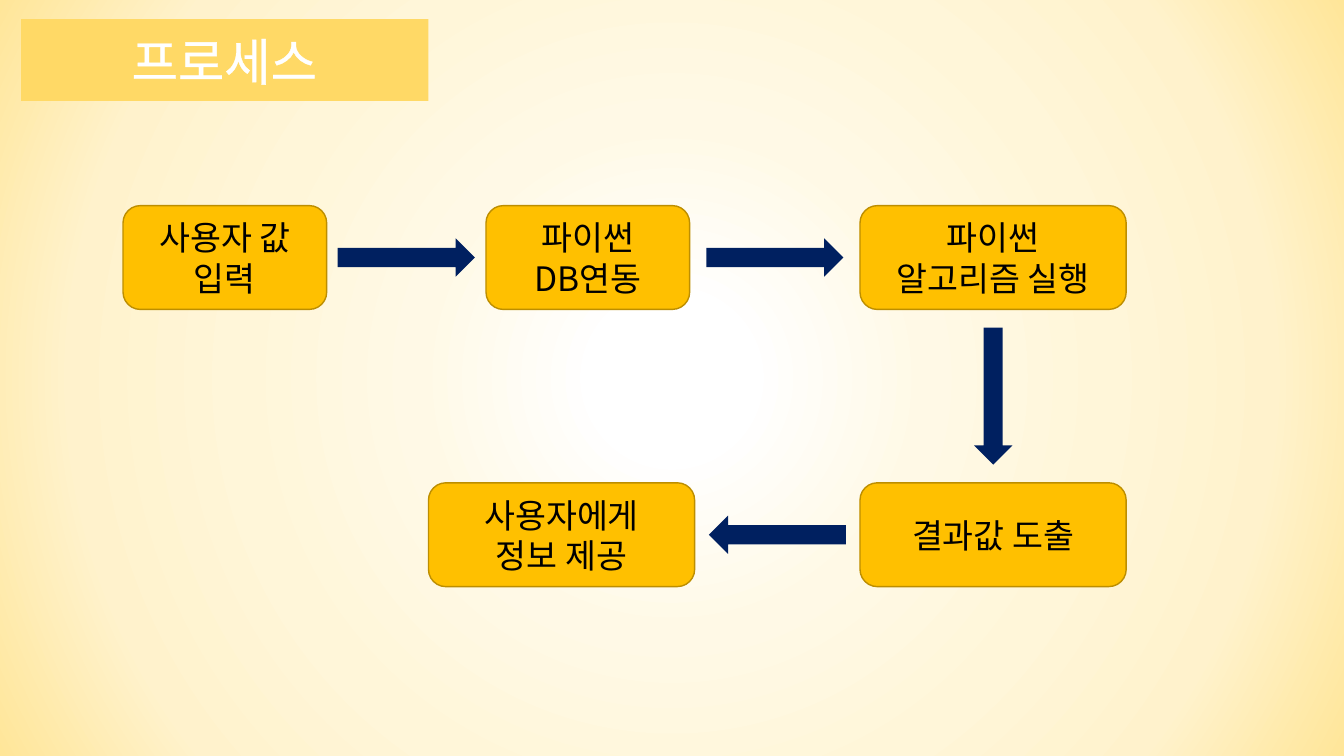
import lxml.etree
import pptx
import pptx.dml.color
import pptx.enum.shapes
import pptx.enum.text
import pptx.oxml
import pptx.oxml.ns
import pptx.util

Inches = pptx.util.Inches
Pt = pptx.util.Pt
qn = pptx.oxml.ns.qn
SHAPES = pptx.enum.shapes.MSO_SHAPE
FONT = "Noto Sans CJK KR"
COLORS = {
    "banner": "FFD966", "title": "FFFFFF", "step": "FFC000",
    "step_edge": "BD8E00", "step_text": "000000", "arrow": "002060",
}
GLOW_STOPS = {10: "FFFFFF", 33: "FFF9E6", 56: "FFF6D9", 78: "FFF2CC", 100: "FFE699"}


def rgb(name):
    """Return the named palette colour."""
    return pptx.dml.color.RGBColor.from_string(COLORS[name])


def paint_background(slide):
    """Fill the slide with a glow that spreads from its centre."""
    slide.background.fill.gradient()
    linear = slide.element.find(".//" + qn("a:gradFill"))
    stops = "".join(
        f'<a:gs pos="{percent * 1000}"><a:srgbClr val="{color}"/></a:gs>'
        for percent, color in GLOW_STOPS.items())
    glow = pptx.oxml.parse_xml(
        f'<a:gradFill {pptx.oxml.ns.nsdecls("a")} rotWithShape="1">'
        f'<a:gsLst>{stops}</a:gsLst><a:path path="circle">'
        '<a:fillToRect l="50000" t="50000" r="50000" b="50000"/>'
        '</a:path></a:gradFill>')
    linear.getparent().replace(linear, glow)


def add_block(slide, preset, box, fill, edge=None):
    """Add a flat preset shape in box (left, top, width, height in inches)."""
    block = slide.shapes.add_shape(preset, *map(Inches, box))
    block.shadow.inherit = False
    block.fill.solid()
    block.fill.fore_color.rgb = rgb(fill)
    if edge:
        block.line.color.rgb = rgb(edge)
        block.line.width = Pt(1)
    else:
        block.line.fill.background()
    return block


def write_text(shape, text, size, color):
    """Write centred text; a vertical tab breaks a line within a paragraph."""
    shape.text_frame.text = text
    for paragraph in shape.text_frame.paragraphs:
        paragraph.alignment = pptx.enum.text.PP_ALIGN.CENTER
        for run in paragraph.runs:
            run.font.size = Pt(size)
            run.font.name = FONT
            run.font.color.rgb = rgb(color)
            east_asian = lxml.etree.SubElement(run.font._element, qn("a:ea"))
            east_asian.set("typeface", FONT)


def add_heading(slide, box, text):
    """Place the banner in box and the outlined title on top of it."""
    left, top, width, height = box
    banner = add_block(slide, SHAPES.RECTANGLE, box, "banner")
    title = slide.shapes.title
    banner._element.addnext(title._element)
    title.left, title.top = Inches(left + 0.21), Inches(top + 0.06)
    title.width, title.height = Inches(width - 0.43), Inches(height - 0.1)
    write_text(title, text, 36, "title")
    frame = title.text_frame
    frame.word_wrap = True
    frame.auto_size = pptx.enum.text.MSO_AUTO_SIZE.SHAPE_TO_FIT_TEXT
    frame.vertical_anchor = pptx.enum.text.MSO_ANCHOR.TOP
    outline = pptx.oxml.parse_xml(
        f'<a:ln {pptx.oxml.ns.nsdecls("a")} w="{Pt(0.75)}"><a:solidFill>'
        f'<a:srgbClr val="{COLORS["title"]}"/></a:solidFill></a:ln>')
    frame.paragraphs[0].runs[0].font._element.insert(0, outline)


def add_step(slide, box, text):
    """Add one rounded process step."""
    step = add_block(slide, SHAPES.ROUNDED_RECTANGLE, box, "step", "step_edge")
    write_text(step, text, 24, "step_text")
    step.text_frame.vertical_anchor = pptx.enum.text.MSO_ANCHOR.MIDDLE


def add_flow_arrow(slide, start, end):
    """Centre an arrow in the gap between two step boxes, pointing at end."""
    length, thickness = 1.36, 0.38
    left, top, width, height = start
    next_left, next_top, next_width, next_height = end
    if next_top > top:
        center_x = left + width / 2
        center_y = (top + height + next_top) / 2
        rotation = 90
    else:
        forward = next_left > left
        gap = (left + width, next_left) if forward else (next_left + next_width, left)
        center_x, center_y = sum(gap) / 2, top + height / 2
        rotation = 0 if forward else 180
    box = (center_x - length / 2, center_y - thickness / 2, length, thickness)
    add_block(slide, SHAPES.RIGHT_ARROW, box, "arrow").rotation = rotation


def add_process(slide, box):
    """Lay out the steps in two rows of box and join them in order."""
    left, top, width, height = box
    narrow, wide, step_height = 2.02, 2.64, 1.03
    right = left + width - wide
    bottom = top + height - step_height
    steps = [
        (left, top, narrow, "사용자 값\v입력"),
        (left + 3.6, top, narrow, "파이썬\nDB연동"),
        (right, top, wide, "파이썬\v알고리즘 실행"),
        (right, bottom, wide, "결과값 도출"),
        (left + 3.03, bottom, wide, "사용자에게\v정보 제공"),
    ]
    boxes = [(x, y, step_width, step_height) for x, y, step_width, _ in steps]
    for step_box, (*_, text) in zip(boxes, steps):
        add_step(slide, step_box, text)
    for start, end in zip(boxes, boxes[1:]):
        add_flow_arrow(slide, start, end)


def build_process_slide(deck):
    """Build the process slide."""
    slide = deck.slides.add_slide(deck.slide_layouts.get_by_name("Title Only"))
    paint_background(slide)
    add_heading(slide, (0.21, 0.19, 4.04, 0.81), "프로세스")
    add_process(slide, (1.22, 2.04, 9.95, 3.78))


deck = pptx.Presentation()
deck.slide_width, deck.slide_height = Inches(13.33), Inches(7.5)
build_process_slide(deck)
deck.save("out.pptx")
